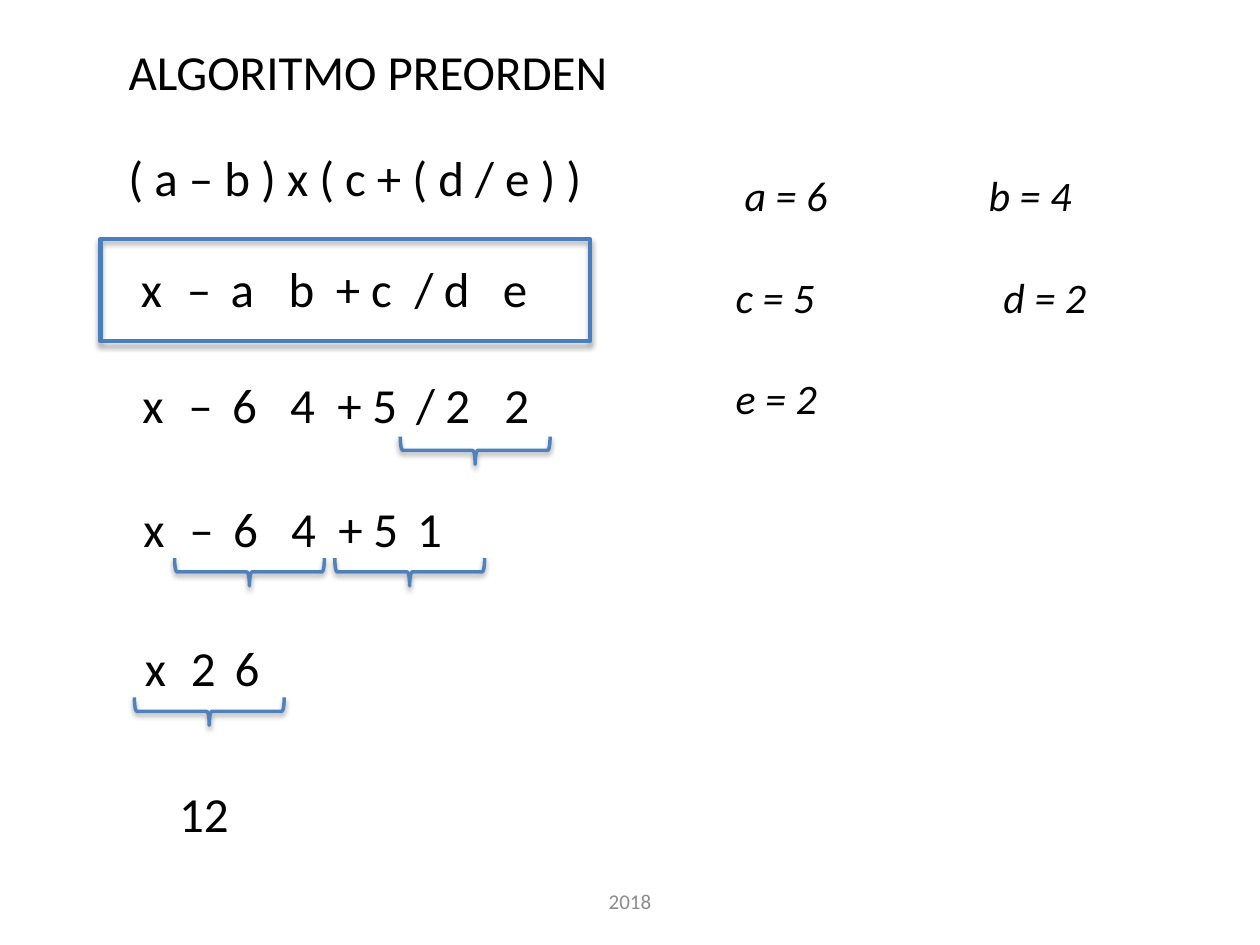
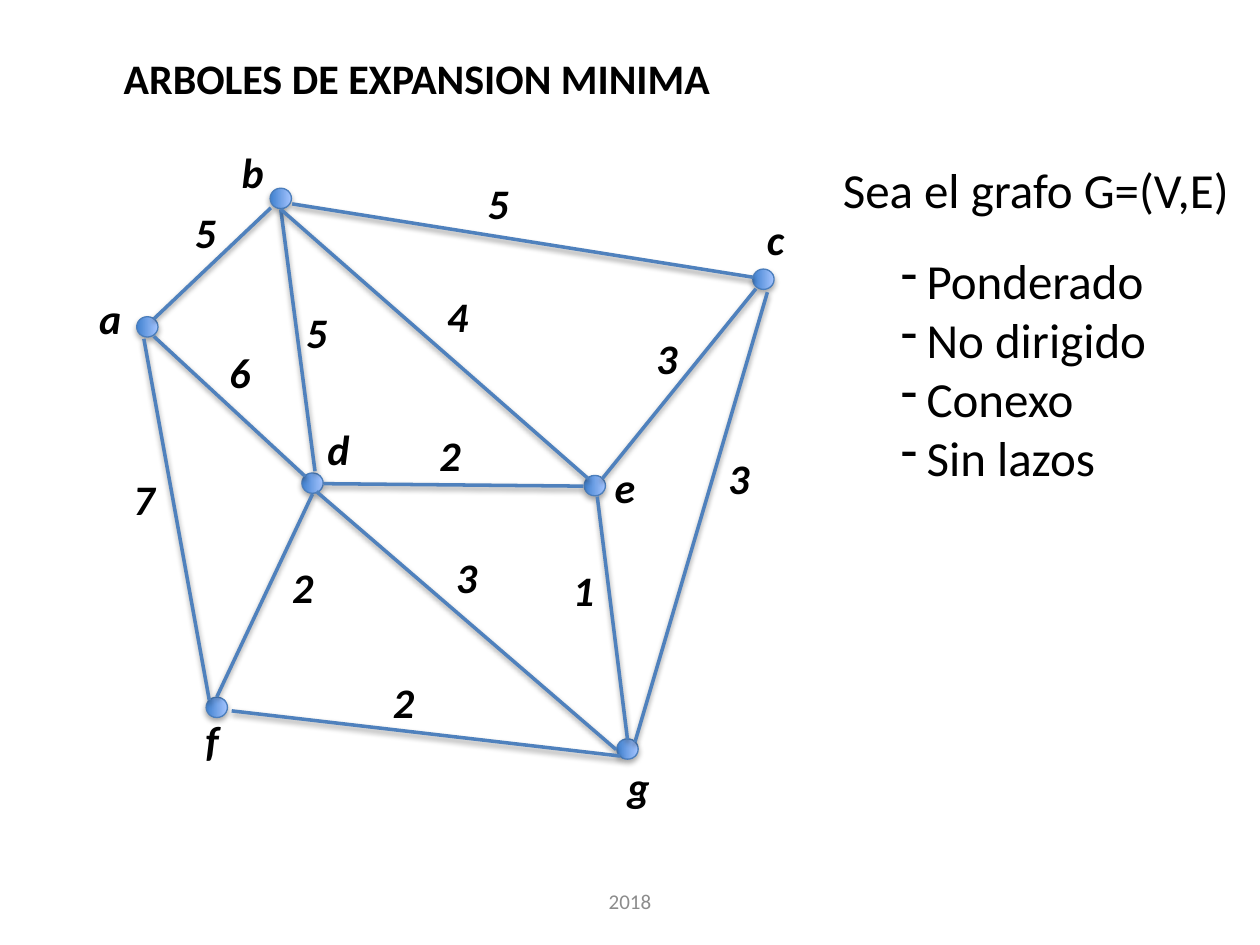
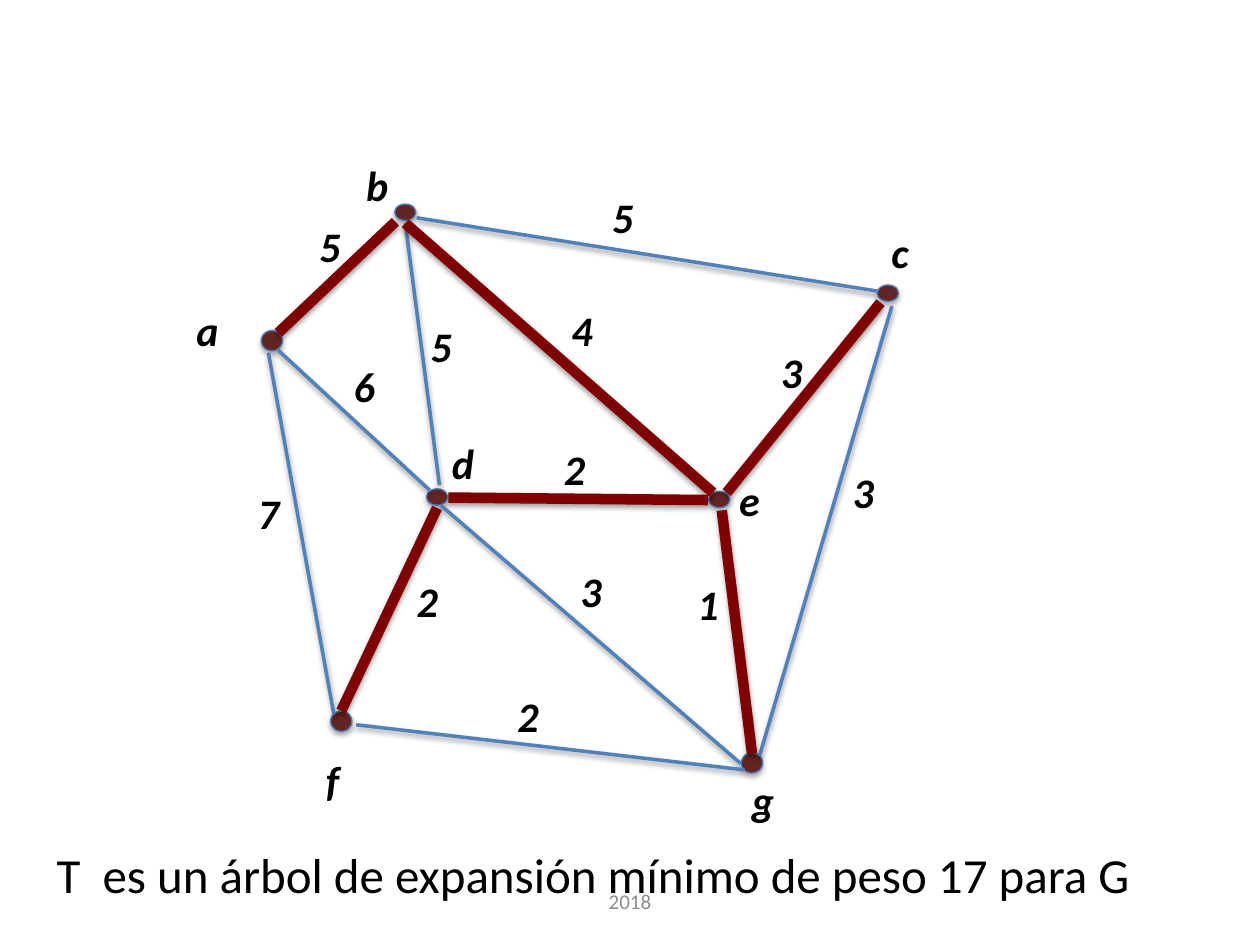
from copy import deepcopy

from lxml.etree import SubElement
from pptx import Presentation
from pptx.dml.color import RGBColor
from pptx.enum.shapes import MSO_CONNECTOR, MSO_SHAPE, PP_PLACEHOLDER
from pptx.enum.text import MSO_ANCHOR, PP_ALIGN
from pptx.oxml.ns import qn
from pptx.util import Cm, Pt

# Shared style
FONT = "Calibri"
BLACK = RGBColor(0x00, 0x00, 0x00)
GRAY = RGBColor(0x8C, 0x8C, 0x8C)
BLUE = RGBColor(0x4F, 0x81, 0xBD)
OUTLINE = RGBColor(0x4B, 0x7E, 0xBC)
NODE_DARK = RGBColor(0x3F, 0x80, 0xCE)
NODE_LIGHT = RGBColor(0xA4, 0xC4, 0xFF)
TREE_NODE = RGBColor(0x63, 0x25, 0x23)
TREE_EDGE = RGBColor(0x80, 0x00, 0x00)
TITLE_ONLY, BLANK = 5, 6
FOOTER = "2018"

# Slide 1: expression steps as (left, top, tokens), all lengths in cm
INFIX = "( a – b ) x ( c + ( d / e ) )"
STEPS = [
    (2.59, 5.08, "x – a b + c / d e"),
    (2.62, 7.42, "x – 6 4 + 5 / 2 2"),
    (2.64, 9.93, "x – 6 4 + 5 1"),
    (2.67, 12.73, "x 2 6"),
    (3.36, 15.67, "12"),
]
TOKEN_TABS = [0.93, 1.81, 2.98, 3.93, 4.64, 5.52, 6.11, 7.3]
BRACES = [(9.58, 9.08), (5.03, 11.53), (8.26, 11.53), (4.22, 14.34)]  # centres
VALUES = [  # (indent, second column, entries)
    (0.18, 4.92, ["a = 6", "b = 4"]),
    (0, 5.4, ["c = 5", "d = 2"]),
    (0, 0, ["e = 2"]),
]

# Slides 2 and 3: node -> (centre, label corner)
NODES = {
    "a": ((2.97, 6.59), (1.75, 5.77)),
    "b": ((5.66, 4.0), (4.62, 2.82)),
    "c": ((15.39, 5.63), (15.21, 4.17)),
    "d": ((6.3, 9.74), (6.35, 8.41)),
    "e": ((11.99, 9.79), (12.14, 9.17)),
    "f": ((4.37, 14.26), (3.89, 14.27)),
    "g": ((12.65, 15.1), (12.4, 15.21)),
}
# (ends, weight, start, finish, label corner)
EDGES = [
    ("ab", 5, (3.1, 6.43), (5.46, 4.19), (3.68, 4.04)),
    ("bc", 5, (5.89, 4.11), (15.19, 5.59), (9.58, 3.45)),
    ("bd", 5, (5.66, 4.22), (6.35, 9.5), (5.92, 6.05)),
    ("be", 4, (5.66, 4.22), (11.86, 9.65), (8.76, 5.74)),
    ("ad", 6, (3.1, 6.78), (6.15, 9.6), (4.37, 6.86)),
    ("af", 7, (2.9, 6.83), (4.22, 14.12), (2.44, 9.42)),
    ("ce", 3, (15.24, 5.82), (12.14, 9.65), (12.98, 6.58)),
    ("cg", 3, (15.47, 5.89), (12.8, 14.96), (14.43, 8.99)),
    ("de", 2, (6.53, 9.75), (11.76, 9.8), (8.61, 8.53)),
    ("df", 2, (6.3, 9.96), (4.37, 14.05), (5.64, 11.2)),
    ("dg", 3, (6.38, 9.91), (12.42, 15.11), (8.94, 11.0)),
    ("eg", 1, (12.04, 10.01), (12.65, 14.91), (11.3, 11.25)),
    ("fg", 2, (4.67, 14.33), (12.5, 15.24), (7.67, 13.51)),
]
PROPERTIES = ["Ponderado", "No dirigido", "Conexo", "Sin lazos"]

# Slide 3: the minimum spanning tree
TREE = {"ab", "be", "ce", "de", "df", "eg"}
TREE_SHIFT = (2.51, 0.28)
TREE_LABELS = {"a": (1.2, 5.74), "f": (3.81, 14.81)}
FLAT_NODES = "bcde"
CONCLUSION = ["T", "es un árbol de expansión mínimo de peso 17 para G"]


def add_run(p, text, size, bold=False, italic=False, color=BLACK):
    r = p.add_run()
    r.text = text
    f = r.font
    f.name, f.size, f.bold, f.italic = FONT, Pt(size), bold, italic
    f.color.rgb = color


def set_tabs(p, stops):
    tabs = SubElement(p._p.get_or_add_pPr(), qn("a:tabLst"))
    for stop in stops:
        SubElement(tabs, qn("a:tab"), pos=str(Cm(stop)), algn="l")


def add_box(slide, left, top, width, height):
    box = slide.shapes.add_textbox(Cm(left), Cm(top), Cm(width), Cm(height))
    box.text_frame.word_wrap = True
    return box.text_frame


def add_line_of_text(slide, at, size, entries, stops=(), **style):
    """One line whose entries stand at tab stops."""
    p = add_box(slide, *at).paragraphs[0]
    if stops:
        set_tabs(p, stops)
    add_run(p, "\t".join(entries), size, **style)


def new_slide(prs, title=None, at=None, size=28, bold=False):
    layout = prs.slide_layouts[TITLE_ONLY if title else BLANK]
    slide = prs.slides.add_slide(layout)
    # Footer
    for ph in layout.placeholders:
        if ph.placeholder_format.type == PP_PLACEHOLDER.FOOTER:
            slide.shapes._spTree.append(deepcopy(ph._element))
    footer = slide.placeholders[11]
    footer.text_frame.clear()
    p = footer.text_frame.paragraphs[0]
    p.alignment = PP_ALIGN.CENTER
    add_run(p, FOOTER, 12, color=GRAY)
    # Title
    if title:
        sp = slide.shapes.title
        sp.left, sp.top, sp.width, sp.height = map(Cm, at)
        tf = sp.text_frame
        tf.vertical_anchor = MSO_ANCHOR.TOP
        tf.paragraphs[0].alignment = PP_ALIGN.LEFT
        add_run(tf.paragraphs[0], title, size, bold=bold)
    return slide


def add_centred(slide, kind, centre, width, height, rotation, color, weight):
    """Unfilled shape around its centre, with the soft shadow of the theme."""
    x, y = centre
    sp = slide.shapes.add_shape(kind, Cm(x - width / 2), Cm(y - height / 2),
                                Cm(width), Cm(height))
    sp.rotation = rotation
    sp.fill.background()
    sp.line.color.rgb = color
    sp.line.width = Pt(weight)
    return sp


def draw_graph(slide, shift=(0, 0), tree=(), moved_labels=None):
    def place(point):
        return point[0] + shift[0], point[1] + shift[1]

    labels = {name: corner for name, (_, corner) in NODES.items()}
    labels.update(moved_labels or {})

    # Nodes
    for name, (centre, _) in NODES.items():
        width = 0.33 if tree and name in FLAT_NODES else 0.41
        node = add_centred(slide, MSO_SHAPE.OVAL, place(centre), width, 0.43,
                           90, OUTLINE, 0.75)
        if tree:
            node.fill.solid()
            node.fill.fore_color.rgb = TREE_NODE
        else:
            node.fill.gradient()
            node.fill.gradient_angle = 90
            for stop, color in zip(node.fill.gradient_stops,
                                   (NODE_DARK, NODE_LIGHT)):
                stop.color.rgb = color

    # Edges
    for ends, _, start, finish, _ in EDGES:
        line = slide.shapes.add_connector(
            MSO_CONNECTOR.STRAIGHT, *map(Cm, place(start) + place(finish))).line
        line.color.rgb = TREE_EDGE if ends in tree else BLUE
        line.width = Pt(6 if ends in tree else 2)

    # Node names and weights
    texts = list(labels.items()) + [(str(e[1]), e[4]) for e in EDGES]
    for text, corner in texts:
        add_line_of_text(slide, (*place(corner), 1.7, 1.27), 24, [text],
                         bold=True, italic=True)


def preorder_slide(prs):
    slide = new_slide(prs, "ALGORITMO PREORDEN", (2.34, 0.71, 11.1, 1.45))
    add_line_of_text(slide, (2.34, 2.84, 12.55, 1.45), 28, [INFIX])
    for left, top, tokens in STEPS:
        add_line_of_text(slide, (left, top, 9.83, 1.45), 28, tokens.split(),
                         TOKEN_TABS)
    for centre in BRACES:
        add_centred(slide, MSO_SHAPE.LEFT_BRACE, centre, 0.56, 3.02, 270, BLUE, 2)
    add_centred(slide, MSO_SHAPE.RECTANGLE, (6.96, 5.85), 9.86, 2.06, 0,
                OUTLINE, 2.5)

    # Values of the variables
    tf = add_box(slide, 14.58, 3.3, 8.03, 5.38)
    for i, (indent, column, entries) in enumerate(VALUES):
        p = tf.paragraphs[0] if i == 0 else tf.add_paragraph()
        p._p.get_or_add_pPr().set("marL", str(Cm(indent)))
        if column:
            set_tabs(p, [column])
        if i:
            p.space_before = Pt(29)
        add_run(p, "\t".join(entries), 24, italic=True)


def graph_slide(prs):
    slide = new_slide(prs, "ARBOLES DE EXPANSION MINIMA",
                      (2.24, 0.94, 20.78, 1.27), 24, True)
    draw_graph(slide)
    add_line_of_text(slide, (16.74, 3.1, 8.97, 1.45), 28, ["Sea el grafo G=(V,E)"])
    tf = add_box(slide, 17.91, 4.93, 6.12, 5.05)
    for i, item in enumerate(PROPERTIES):
        p = tf.paragraphs[0] if i == 0 else tf.add_paragraph()
        pPr = p._p.get_or_add_pPr()
        pPr.set("marL", str(Cm(0.52)))
        pPr.set("indent", str(-Cm(0.52)))
        SubElement(pPr, qn("a:buChar"), char="-")
        add_run(p, item, 28)


def tree_slide(prs):
    slide = new_slide(prs)
    draw_graph(slide, TREE_SHIFT, TREE, TREE_LABELS)
    add_line_of_text(slide, (0.89, 16.89, 22.73, 1.45), 28, CONCLUSION,
                     TOKEN_TABS[:1])


def main():
    prs = Presentation()
    prs.slide_width, prs.slide_height = Cm(25.4), Cm(19.05)
    preorder_slide(prs)
    graph_slide(prs)
    tree_slide(prs)
    prs.save("out.pptx")


if __name__ == "__main__":
    main()
